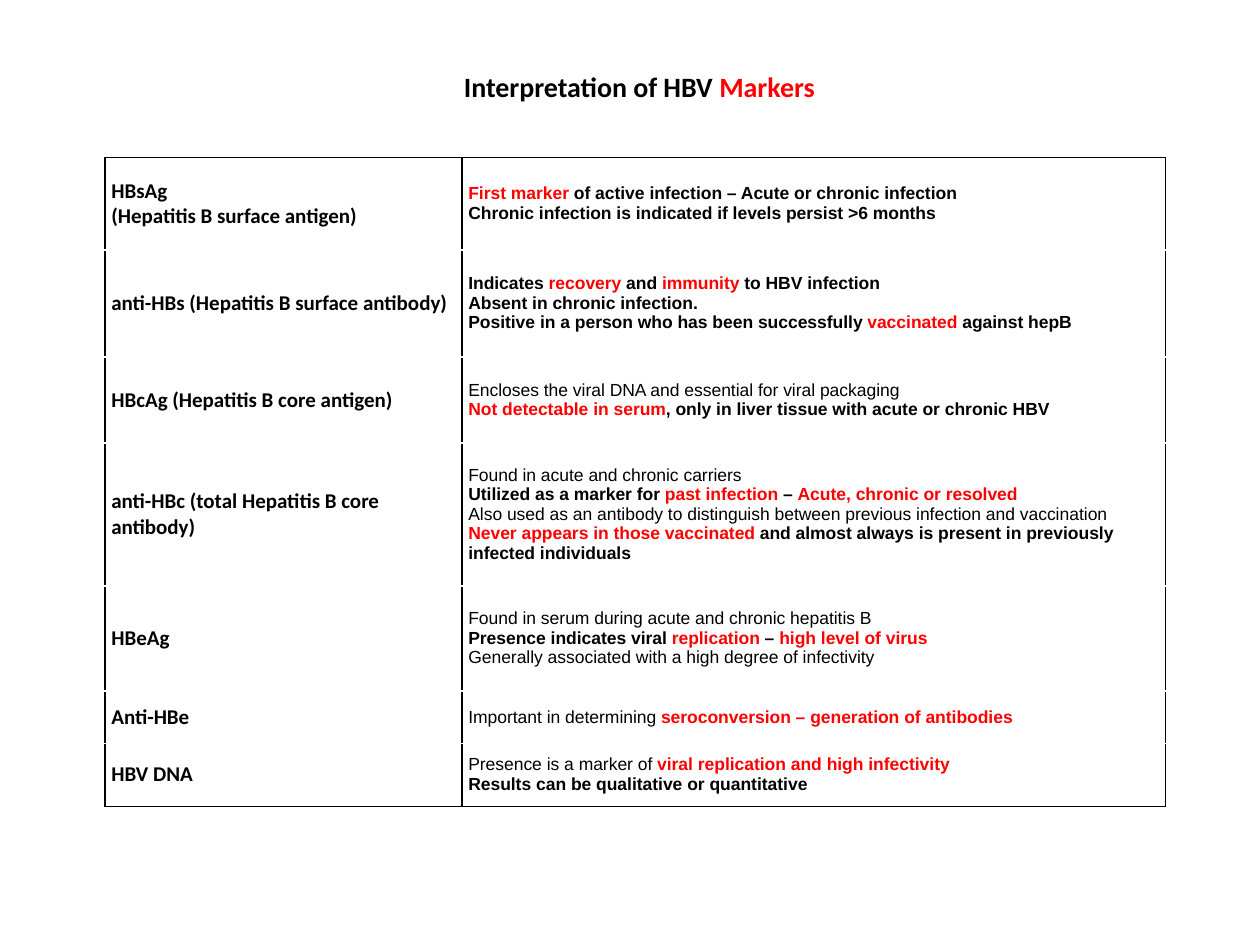
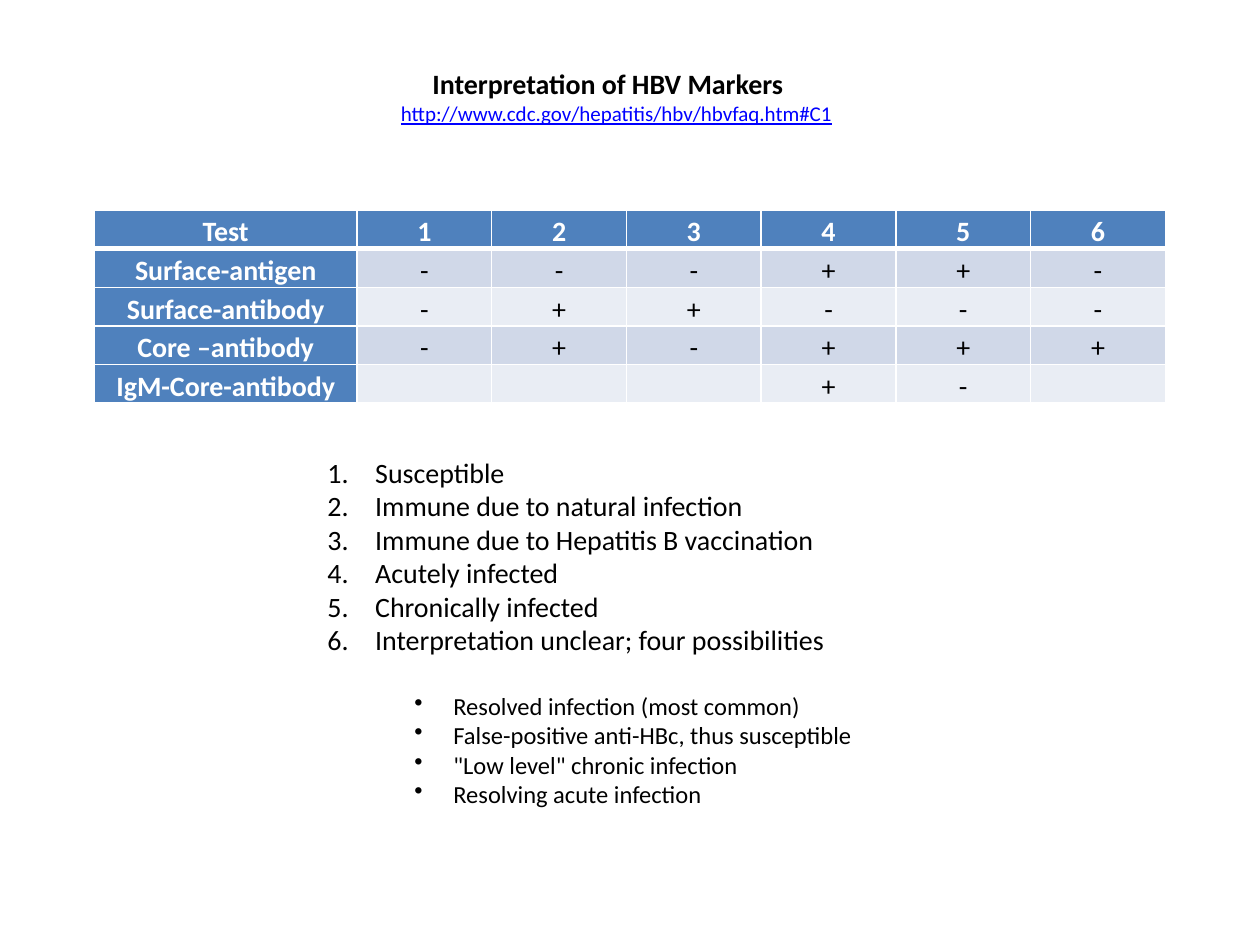
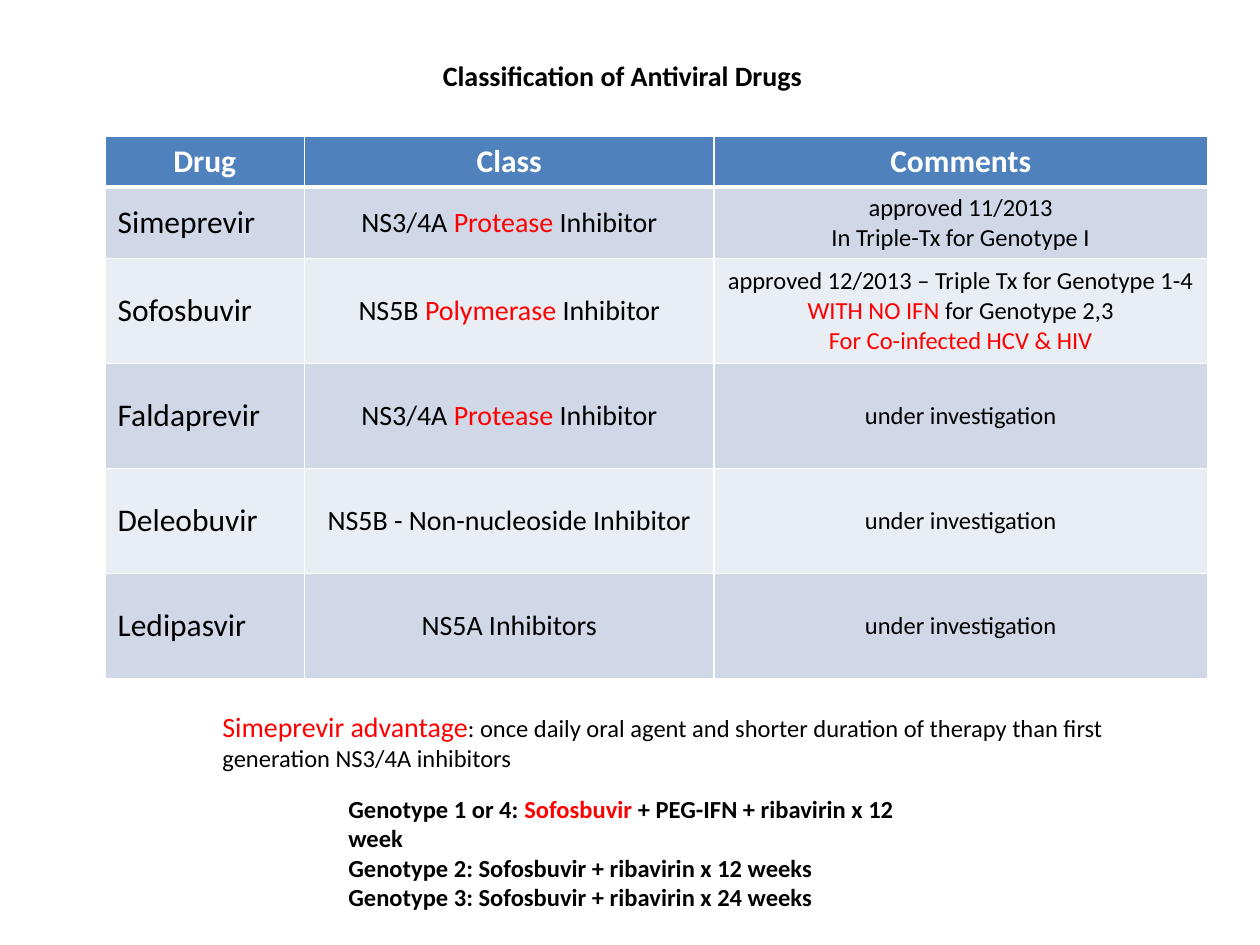
from dataclasses import dataclass, replace
from lxml import etree
from pptx import Presentation
from pptx.dml.color import RGBColor
from pptx.enum.text import MSO_ANCHOR, MSO_AUTO_SIZE, PP_ALIGN
from pptx.oxml.ns import qn
from pptx.util import Inches, Pt

LEFT, CENTER = PP_ALIGN.LEFT, PP_ALIGN.CENTER
MIDDLE = MSO_ANCHOR.MIDDLE
GROW = MSO_AUTO_SIZE.SHAPE_TO_FIT_TEXT

# The slide is a grid of 120 columns by 90 rows, twelve to the inch
CELLS_PER_INCH = 12
BLACK, WHITE, RED, BLUE = "000000", "FFFFFF", "FF0000", "0000FF"
HEADER_FILL = "4F81BD"
BAND_FILLS = ("D0D8E8", "E9EDF4")


def color(value):
    return RGBColor.from_string(value)


def grid(count):
    return Inches(count / CELLS_PER_INCH)


@dataclass(frozen=True)
class TextStyle:
    size: int
    font: str = "Calibri"
    color: str = BLACK
    bold: bool = False
    bold_accent: bool = False
    underline: bool = False
    align: int = LEFT
    spacing: float = 1.0
    accent_size: int = 0
    fill: str = ""


BODY = TextStyle(16)
SMALL = TextStyle(14)
TITLE = TextStyle(16, bold=True)
HEADER = TextStyle(18, color=WHITE, bold=True, align=CENTER, fill=HEADER_FILL)
LINK = TextStyle(12, color=BLUE, underline=True)


class Deck:
    def __init__(self):
        self.presentation = Presentation()
        self.presentation.slide_width = grid(120)
        self.presentation.slide_height = grid(90)
        self.slide = None

    def new_slide(self):
        blank = self.presentation.slide_layouts[6]
        self.slide = self.presentation.slides.add_slide(blank)

    def fill_paragraph(self, paragraph, text, style):
        """Parts between bars are accented; a leading ** makes the line bold."""
        bold = style.bold or text.startswith("**")
        paragraph.alignment = style.align
        paragraph.line_spacing = style.spacing
        paragraph.font.name = style.font
        paragraph.font.size = Pt(style.size)
        paragraph.font.bold = bold
        paragraph.font.underline = style.underline
        for index, part in enumerate(text.removeprefix("**").split("|")):
            if not part:
                continue
            accented = index % 2 == 1
            run = paragraph.add_run()
            run.text = part
            run.font.color.rgb = color(RED if accented else style.color)
            if accented and style.bold_accent and not bold:
                run.font.bold = True
            if accented and style.accent_size:
                run.font.size = Pt(style.accent_size)

    def fill_frame(self, frame, text, style):
        for index, line in enumerate(text.split("\n")):
            paragraph = frame.add_paragraph() if index else frame.paragraphs[0]
            self.fill_paragraph(paragraph, line, style)

    def frame(self, left, top, width, height):
        box = self.slide.shapes.add_textbox(*map(grid, (left, top, width, height)))
        box.text_frame.word_wrap = True
        box.text_frame.auto_size = GROW
        return box.text_frame

    def text(self, left, top, width, height, text, style):
        self.fill_frame(self.frame(left, top, width, height), text, style)

    def title(self, left, top, text):
        self.text(left, top, 39, 4.4, text, TITLE)

    def list(self, left, top, width, height, groups):
        """Each group is (items, style, marker tag, marker attributes, margin, hanging)."""
        frame = self.frame(left, top, width, height)
        for group_index, (items, style, tag, attributes, margin, hanging) in enumerate(groups):
            for index, item in enumerate(items):
                first = group_index == index == 0
                paragraph = frame.paragraphs[0] if first else frame.add_paragraph()
                properties = paragraph._p.get_or_add_pPr()
                properties.set("marL", str(Inches(margin)))
                properties.set("indent", str(-Inches(hanging)))
                etree.SubElement(properties, qn(tag), attributes)
                if group_index and index == 0:
                    paragraph.space_before = Pt(19.5)
                self.fill_paragraph(paragraph, item, style)

    def border(self, cell, side, line_color, width):
        line = etree.SubElement(cell._tc.get_or_add_tcPr(), qn(f"a:ln{side}"), w=str(Pt(width)))
        fill = etree.SubElement(line, qn("a:solidFill"))
        etree.SubElement(fill, qn("a:srgbClr"), val=line_color)

    def table(self, left, top, widths, heights, rows, styles, line_color,
              header=None, inset=(0.1, 0.05)):
        area = map(grid, (left, top, sum(widths), sum(heights)))
        table = self.slide.shapes.add_table(len(rows), len(widths), *area).table
        table.first_row = table.horz_banding = False
        for column, width in zip(table.columns, widths):
            column.width = grid(width)
        for row_index, (texts, height) in enumerate(zip(rows, heights)):
            table.rows[row_index].height = grid(height)
            is_header = header is not None and row_index == 0
            for column_index, text in enumerate(texts):
                cell = table.cell(row_index, column_index)
                style = header if is_header else styles[column_index]
                cell.margin_left = cell.margin_right = Inches(inset[0])
                cell.margin_top = cell.margin_bottom = Inches(inset[1])
                cell.vertical_anchor = MIDDLE
                # Inner horizontal edges belong to the row above
                sides = "LRTB" if row_index == 0 else "LRB"
                for side in sides:
                    self.border(cell, side, line_color, 3 if is_header and side == "B" else 1)
                if header is None:
                    cell.fill.background()
                else:
                    cell.fill.solid()
                    band = BAND_FILLS[(row_index - 1) % 2]
                    cell.fill.fore_color.rgb = color(style.fill or band)
                self.fill_frame(cell.text_frame, text, style)


def marker_meanings(deck):
    deck.new_slide()
    deck.title(43, 6, "Interpretation of HBV |Markers")
    rows = [
        ("HBsAg\n(Hepatitis B surface antigen)",
         "**|First marker |of active infection – Acute or chronic infection\n"
         "**Chronic infection is indicated if levels persist >6 months"),
        ("anti-HBs (Hepatitis B surface antibody)",
         "**Indicates |recovery| and |immunity| to HBV infection\n"
         "**Absent in chronic infection.\n"
         "**Positive in a person who has been successfully |vaccinated| against hepB"),
        ("HBcAg (Hepatitis B core antigen)",
         "Encloses the viral DNA and essential for viral packaging\n"
         "**|Not detectable in serum|, only in liver tissue with acute or chronic HBV"),
        ("anti-HBc (total Hepatitis B core antibody)",
         "Found in acute and chronic carriers\n"
         "**Utilized as a marker for |past infection |– |Acute, chronic or resolved\n"
         "Also used as an antibody to distinguish between previous infection and vaccination\n"
         "**|Never appears in those vaccinated |and almost always is present in previously "
         "infected individuals"),
        ("HBeAg",
         "Found in serum during acute and chronic hepatitis B\n"
         "**Presence indicates viral |replication| – |high level of virus\n"
         "Generally associated with a high degree of infectivity"),
        ("Anti-HBe",
         "Important in determining |seroconversion – generation of antibodies"),
        ("HBV DNA",
         "Presence is a marker of |viral replication and high infectivity\n"
         "**Results can be qualitative or quantitative"),
    ]
    styles = (TextStyle(12, bold=True), TextStyle(10, "Arial", bold_accent=True))
    deck.table(10, 15, (34, 67), (8.8, 10.2, 8.2, 13.6, 10, 5, 6), rows, styles,
               BLACK, inset=(0.05, 0))


def marker_patterns(deck):
    deck.new_slide()
    deck.title(40, 5.75, "Interpretation of HBV Markers")
    deck.text(37, 9, 45, 3.6, "http://www.cdc.gov/hepatitis/hbv/hbvfaq.htm#C1", LINK)
    # One sign per case, a space where the test is not given
    results = [
        ("Test", "123456"),
        ("Surface-antigen", "---++-"),
        ("Surface-antibody", "-++---"),
        ("Core –antibody", "-+-+++"),
        ("IgM-Core-antibody", "   +- "),
    ]
    rows = [(test, *(sign.strip() for sign in signs)) for test, signs in results]
    heading = replace(HEADER, size=16, spacing=1.15)
    sign_style = replace(BODY, align=CENTER, spacing=1.15)
    deck.table(9, 20, [25] + [77 / 6] * 6, [3.68] * 5, rows,
               [heading] + [sign_style] * 6, WHITE, header=heading, inset=(0.07, 0))
    cases = ("Susceptible", "Immune due to natural infection",
             "Immune due to Hepatitis B vaccination", "Acutely infected",
             "Chronically infected", "Interpretation unclear; four possibilities")
    possibilities = ("Resolved infection (most common)",
                     "False-positive anti-HBc, thus susceptible",
                     '"Low level" chronic infection', "Resolving acute infection")
    deck.list(30, 42.75, 60, 35.2, [
        (cases, BODY, "a:buAutoNum", {"type": "arabicPeriod"}, 0.38, 0.38),
        (possibilities, SMALL, "a:buChar", {"char": "•"}, 1, 0.31),
    ])


def antiviral_drugs(deck):
    deck.new_slide()
    deck.title(41, 5, "Classification of Antiviral Drugs")
    protease = "NS3/4A |Protease |Inhibitor"
    pending = "under investigation"
    rows = [
        ("Drug", "Class", "Comments"),
        ("Simeprevir", protease, "approved 11/2013\nIn Triple-Tx for Genotype I"),
        ("Sofosbuvir", "NS5B |Polymerase |Inhibitor",
         "approved 12/2013 – Triple Tx for Genotype 1-4\n"
         "|WITH NO IFN |for Genotype 2,3\n|For Co-infected HCV & HIV"),
        ("Faldaprevir", protease, pending),
        ("Deleobuvir", "NS5B - Non-nucleoside Inhibitor", pending),
        ("Ledipasvir", "NS5A Inhibitors", pending),
    ]
    styles = (TextStyle(18), replace(BODY, align=CENTER), replace(SMALL, align=CENTER))
    deck.table(10, 13, (19, 39, 47), [4, 6.2] + [10] * 4, rows, styles, WHITE, header=HEADER)
    # Notes on therapy
    deck.text(20, 67, 87, 7.3,
              "|Simeprevir advantage|: once daily oral agent and shorter duration of therapy "
              "than first generation NS3/4A inhibitors", replace(SMALL, accent_size=16))
    deck.text(32, 75, 59, 9.7,
              "Genotype 1 or 4: |Sofosbuvir |+ PEG-IFN + ribavirin x 12 week\n"
              "Genotype 2: Sofosbuvir + ribavirin x 12 weeks\n"
              "Genotype 3: Sofosbuvir + ribavirin x 24 weeks", replace(SMALL, bold=True))


def main():
    deck = Deck()
    marker_meanings(deck)
    marker_patterns(deck)
    antiviral_drugs(deck)
    deck.presentation.save("out.pptx")


if __name__ == "__main__":
    main()
